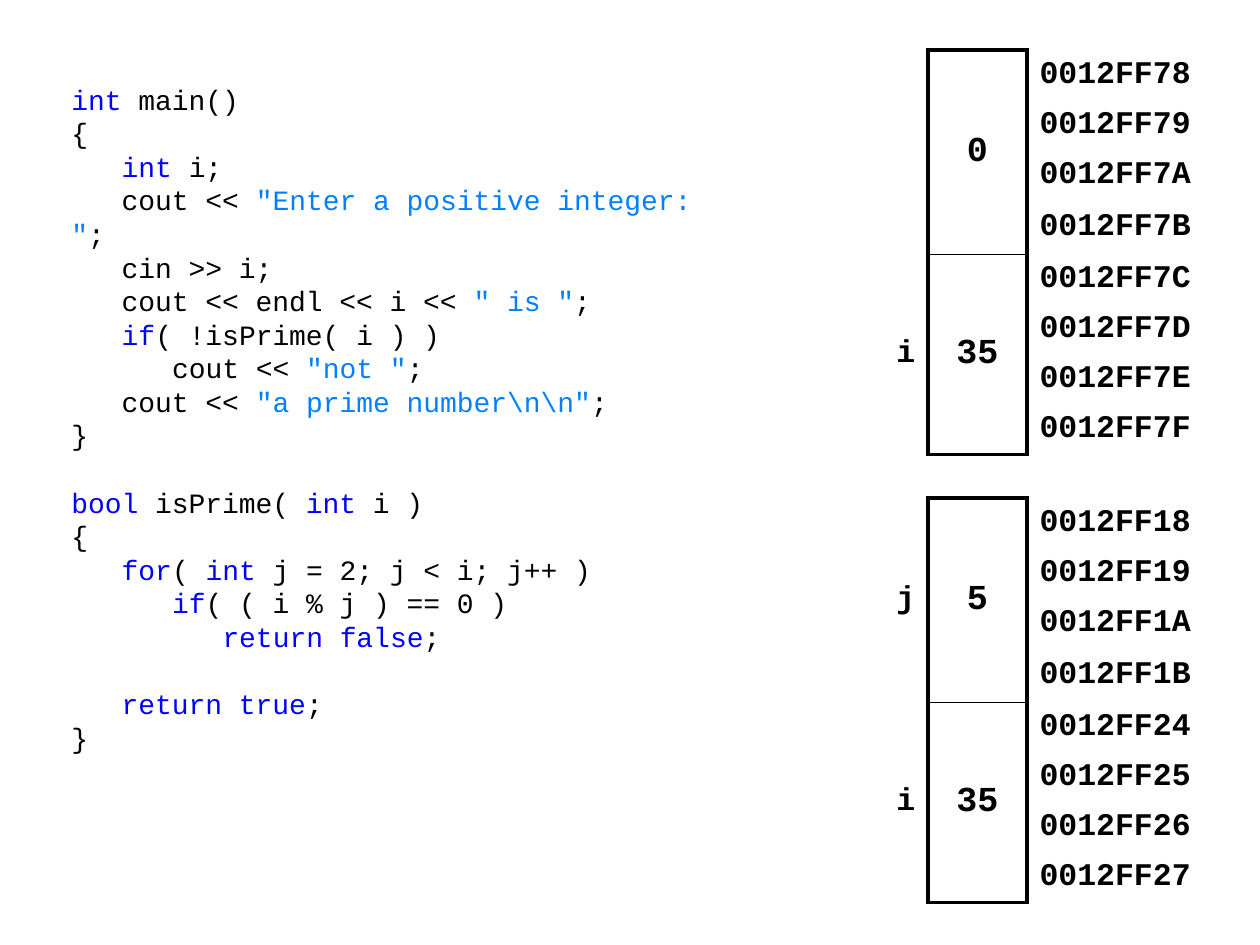
from typing import NamedTuple

from lxml.etree import SubElement
from pptx import Presentation
from pptx.dml.color import RGBColor
from pptx.enum.text import MSO_ANCHOR as Anchor, PP_ALIGN as Align
from pptx.oxml.ns import qn
from pptx.util import Emu, Pt

BLACK = RGBColor(0x00, 0x00, 0x00)
WHITE = RGBColor(0xFF, 0xFF, 0xFF)
KEYWORD_BLUE = RGBColor(0x00, 0x00, 0xFF)
STRING_BLUE = RGBColor(0x00, 0x80, 0xFF)

FONT = "Courier New"
PLAIN_TABLE_STYLE = "{2D5ABB26-0587-4C30-8999-92F81FD0307C}"
LINE_HEIGHT = Pt(19.2)
INDENT = Pt(28.8)
ROW_HEIGHT = 50
ROWS_PER_VALUE = 4
COLUMN_WIDTHS = (50, 99, 198)
THICK, THIN = 2.25, 1


def px(length: int) -> Emu:
    return Emu(round(length * 914400 / 126))


class Span(NamedTuple):
    text: str
    color: RGBColor = BLACK


class CodeLine(NamedTuple):
    level: int
    spans: tuple[Span, ...]
    blank_before: bool = False


class Variable(NamedTuple):
    name: str
    value: str
    addresses: tuple[str, ...]


def plain(text: str) -> Span:
    return Span(text)


def keyword(text: str) -> Span:
    return Span(text, KEYWORD_BLUE)


def string(text: str) -> Span:
    return Span(text, STRING_BLUE)


CODE = (
    CodeLine(0, (keyword("int"), plain(" main()"))),
    CodeLine(0, (plain("{"),)),
    CodeLine(1, (keyword("int "), plain("i;"))),
    CodeLine(1, (plain("cout << "), string('"Enter a positive integer: "'), plain(";"))),
    CodeLine(1, (plain("cin >> i;"),)),
    CodeLine(1, (plain("cout << endl << i << "), string('" is "'), plain(";"))),
    CodeLine(1, (keyword("if"), plain("( !isPrime( i ) )"))),
    CodeLine(2, (plain("cout << "), string('"not "'), plain(";"))),
    CodeLine(1, (plain("cout << "), string(r'"a prime number\n\n"'), plain(";"))),
    CodeLine(0, (plain("}"),)),
    CodeLine(0, (keyword("bool "), plain("isPrime( "), keyword("int "), plain("i )")), True),
    CodeLine(0, (plain("{"),)),
    CodeLine(1, (keyword("for"), plain("( "), keyword("int"), plain(" j = 2; j < i; j++ )"))),
    CodeLine(2, (keyword("if"), plain("( ( i % j ) == 0 )"))),
    CodeLine(3, (keyword("return false"), plain(";"))),
    CodeLine(1, (keyword("return true"), plain(";")), True),
    CodeLine(0, (plain("}"),)),
)

MAIN_MEMORY = (
    Variable("", "0", ("0012FF78", "0012FF79", "0012FF7A", "0012FF7B")),
    Variable("i", "35", ("0012FF7C", "0012FF7D", "0012FF7E", "0012FF7F")),
)
FUNCTION_MEMORY = (
    Variable("j", "5", ("0012FF18", "0012FF19", "0012FF1A", "0012FF1B")),
    Variable("i", "35", ("0012FF24", "0012FF25", "0012FF26", "0012FF27")),
)


def write_text(para, text: str, *, size: int, color: RGBColor = BLACK,
               bold: bool = False, align: Align = Align.LEFT) -> None:
    para.alignment = align
    span = para.add_run()
    span.text = text
    span.font.name = FONT
    span.font.size = Pt(size)
    span.font.bold = bold
    span.font.color.rgb = color


def draw_code(page, left: int, top: int, width: int, height: int) -> None:
    box = page.shapes.add_textbox(px(left), px(top), px(width), px(height))
    frame = box.text_frame
    frame.word_wrap = True
    for index, line in enumerate(CODE):
        para = frame.add_paragraph() if index else frame.paragraphs[0]
        para.line_spacing = LINE_HEIGHT
        para.space_before = LINE_HEIGHT if line.blank_before else Pt(0)
        properties = para._p.get_or_add_pPr()
        properties.set("marL", "0")
        properties.set("indent", str(INDENT * line.level))
        for span in line.spans:
            write_text(para, span.text, size=16, color=span.color)


def set_borders(cell, **widths: float) -> None:
    properties = cell._tc.get_or_add_tcPr()
    for side in "LRTB":
        if side in widths:
            line = SubElement(properties, qn(f"a:ln{side}"), w=str(Pt(widths[side])))
            fill = SubElement(line, qn("a:solidFill"))
            SubElement(fill, qn("a:srgbClr"), val=str(BLACK))


def fill_cell(cell, text: str, size: int, align: Align) -> None:
    cell.vertical_anchor = Anchor.MIDDLE
    if text:
        write_text(cell.text_frame.paragraphs[0], text, size=size, bold=True, align=align)


def draw_memory(page, left: int, top: int, variables: tuple[Variable, ...]) -> None:
    row_count = ROWS_PER_VALUE * len(variables)
    table = page.shapes.add_table(row_count, len(COLUMN_WIDTHS), px(left), px(top),
                                  px(sum(COLUMN_WIDTHS)), px(ROW_HEIGHT * row_count)).table
    table.first_row = table.horz_banding = False
    table._tbl.tblPr.find(qn("a:tableStyleId")).text = PLAIN_TABLE_STYLE
    for column, width in zip(table.columns, COLUMN_WIDTHS):
        column.width = px(width)
    for index, row in enumerate(table.rows):
        row.height = px(ROW_HEIGHT)
        name_cell, value_cell, address_cell = row.cells
        edges = {"L": THICK, "R": THICK}
        if index % ROWS_PER_VALUE == 0:
            edges["T"] = THIN if index else THICK
        if (index + 1) % ROWS_PER_VALUE == 0:
            edges["B"] = THICK if index + 1 == row_count else THIN
        set_borders(name_cell, R=THICK)
        set_borders(value_cell, **edges)
        set_borders(address_cell, L=THICK)
        for cell in row.cells:
            cell.fill.solid()
            cell.fill.fore_color.rgb = WHITE

    for position, variable in enumerate(variables):
        first = position * ROWS_PER_VALUE
        last = first + ROWS_PER_VALUE - 1
        for column in (0, 1):
            table.cell(first, column).merge(table.cell(last, column))
        value_cell = table.cell(first, 1)
        set_last = table.cell(last, 1)
        value_edge = THICK if last + 1 == row_count else THIN
        if value_cell is not set_last:
            properties = value_cell._tc.tcPr
            bottom = set_last._tc.tcPr.find(qn("a:lnB"))
            bottom.set("w", str(Pt(value_edge)))
            set_last._tc.tcPr.remove(bottom)
            properties.insert(3, bottom)
        fill_cell(table.cell(first, 0), variable.name, 18, Align.RIGHT)
        fill_cell(value_cell, variable.value, 20, Align.CENTER)
        for offset, address in enumerate(variable.addresses):
            address_cell = table.cell(first + offset, 2)
            address_cell.margin_top = address_cell.margin_bottom = px(5)
            fill_cell(address_cell, address, 18, Align.LEFT)


def main() -> None:
    deck = Presentation()
    deck.slide_width, deck.slide_height = px(1260), px(945)
    page = deck.slides.add_slide(deck.slide_layouts[6])
    draw_code(page, 59, 76, 694, 645)
    draw_memory(page, 878, 498, FUNCTION_MEMORY)
    draw_memory(page, 878, 50, MAIN_MEMORY)
    deck.save("out.pptx")


if __name__ == "__main__":
    main()
